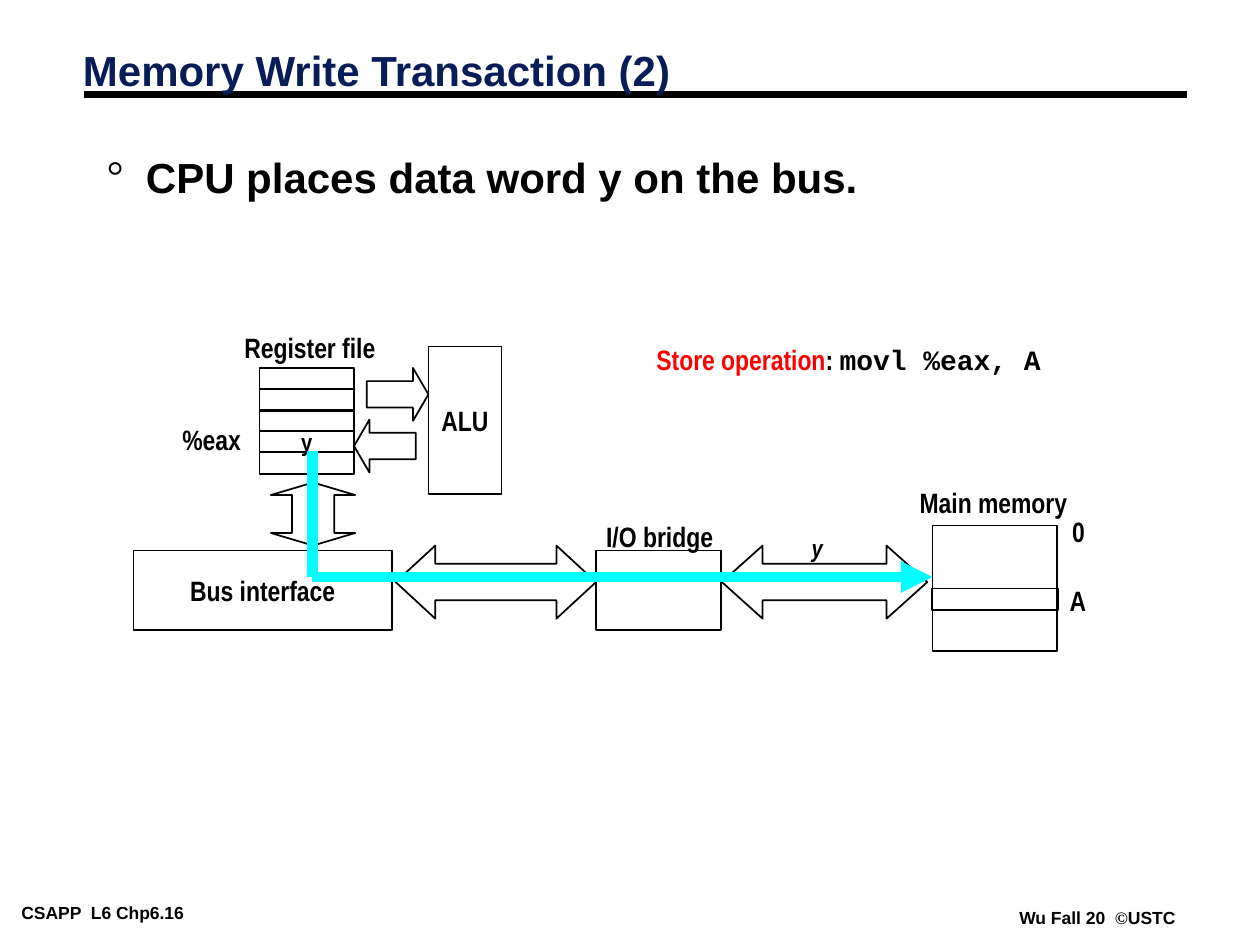
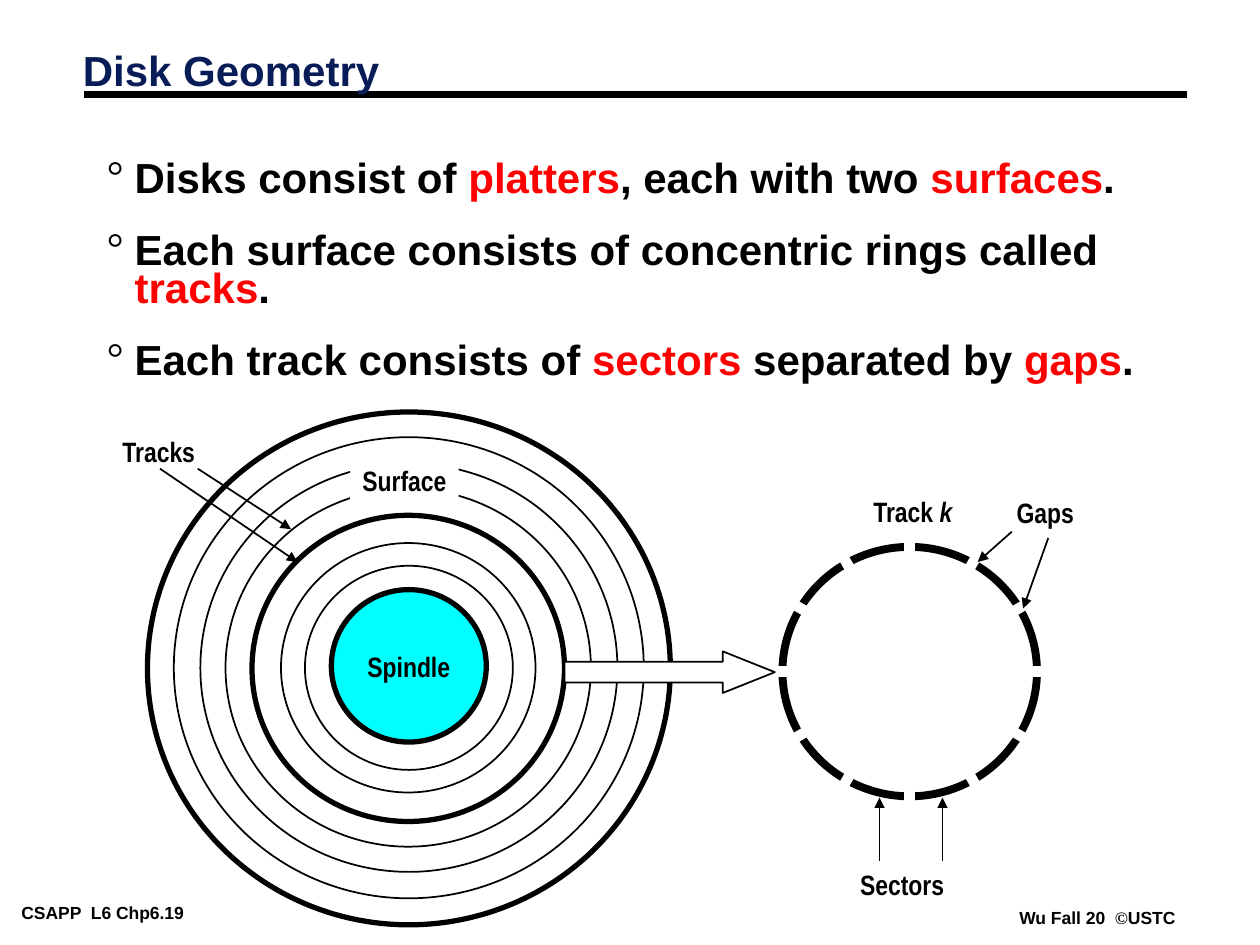
import math

from lxml import etree
from pptx import Presentation
from pptx.dml.color import RGBColor
from pptx.enum.shapes import MSO_CONNECTOR, MSO_SHAPE
from pptx.enum.text import MSO_ANCHOR, MSO_AUTO_SIZE, PP_ALIGN
from pptx.oxml.ns import qn
from pptx.util import Emu, Pt

PX = 9144  # 100 px to the inch

BLACK = RGBColor(0x00, 0x00, 0x00)
WHITE = RGBColor(0xFF, 0xFF, 0xFF)
NAVY = RGBColor(0x08, 0x1D, 0x58)
RED = RGBColor(0xFF, 0x00, 0x00)
CYAN = RGBColor(0x00, 0xFF, 0xFF)

RECTANGLE, ELLIPSE = MSO_SHAPE.RECTANGLE, MSO_SHAPE.OVAL
RIGHT_ARROW, LEFT_ARROW = MSO_SHAPE.RIGHT_ARROW, MSO_SHAPE.LEFT_ARROW
TWO_WAY_ARROW, UP_DOWN_ARROW = MSO_SHAPE.LEFT_RIGHT_ARROW, MSO_SHAPE.UP_DOWN_ARROW
STRAIGHT = MSO_CONNECTOR.STRAIGHT
TOP, MIDDLE = MSO_ANCHOR.TOP, MSO_ANCHOR.MIDDLE
LEFT, CENTER = PP_ALIGN.LEFT, PP_ALIGN.CENTER
FIT_SHAPE = MSO_AUTO_SIZE.SHAPE_TO_FIT_TEXT

TITLE = {"name": "Arial", "size": Pt(24), "bold": True, "color": NAVY}
BODY = {**TITLE, "color": BLACK}
FOOTER = {**BODY, "size": Pt(10)}
LABEL = {**BODY, "name": "Arial Narrow", "size": Pt(16)}
SMALL_LABEL = {**LABEL, "size": Pt(14)}
KEYWORD = {"color": RED}

LABEL_INSET = (4, 5)  # leaves short centred labels room to stay on one line
TEXT_INSET = (10, 5)
FOOTER_INSET = (7, 3)


def px(*lengths):
    return [Emu(length * PX) for length in lengths]


# Text
def add_spans(para, spans, base):
    """Each span is plain text or a pair of text and changes to the base format."""
    for span in [spans] if isinstance(spans, str) else spans:
        text, changes = (span, {}) if isinstance(span, str) else span
        run = para.add_run()
        run.text = text
        for key, value in {**base, **changes}.items():
            if key == "color":
                run.font.color.rgb = value
            else:
                setattr(run.font, key, value)


def set_frame(frame, anchor=TOP, wrap=False, inset=LABEL_INSET):
    frame.word_wrap = wrap
    frame.vertical_anchor = anchor
    frame.margin_left, frame.margin_top = px(*inset)
    frame.margin_right, frame.margin_bottom = px(*inset)


def add_text(page, at, spans, base=LABEL, align=CENTER, **frame_format):
    box = page.shapes.add_textbox(*px(*at))
    set_frame(box.text_frame, **frame_format)
    box.text_frame.auto_size = FIT_SHAPE
    para = box.text_frame.paragraphs[0]
    para.alignment = align
    add_spans(para, spans, base)
    return box


def add_bullet(para, indent):
    properties = para._p.get_or_add_pPr()
    width = indent * PX
    properties.set("marL", str(width))
    properties.set("indent", str(-width))
    color = etree.SubElement(properties, qn("a:buClr"))
    etree.SubElement(color, qn("a:srgbClr"), val=str(BLACK))
    etree.SubElement(properties, qn("a:buFont"), typeface="Times New Roman")
    etree.SubElement(properties, qn("a:buChar"), char="°")


def add_bullets(page, items, indent):
    frame = page.shapes.add_textbox(*px(75, 125, 858, 242)).text_frame
    set_frame(frame, wrap=True, inset=TEXT_INSET)
    for index, spans in enumerate(items):
        para = frame.add_paragraph() if index else frame.paragraphs[0]
        add_bullet(para, indent)
        para.line_spacing = 0.75
        if index:
            para.space_before = Pt(19.5)
        add_spans(para, spans, BODY)


# Shapes and lines
def set_arrow_head(arrow, head):
    """Shaft is half the arrow's breadth; head is its length as a share of the short side."""
    guides = arrow._element.spPr.find(f"{qn('a:prstGeom')}/{qn('a:avLst')}")
    guides.clear()
    for name, share in (("adj1", 0.5), ("adj2", head)):
        etree.SubElement(guides, qn("a:gd"), name=name, fmla=f"val {round(share * 100000)}")


def add_shape(page, kind, at, text=None, base=LABEL, fill=None, weight=1, head=None):
    shape = page.shapes.add_shape(kind, *px(*at))
    shape.shadow.inherit = False
    if fill is None:
        shape.fill.background()
    else:
        shape.fill.solid()
        shape.fill.fore_color.rgb = fill
    if weight:
        shape.line.color.rgb = BLACK
        shape.line.width = Pt(weight)
    else:
        shape.line.fill.background()
    if head is not None:
        set_arrow_head(shape, head)
    if text:
        set_frame(shape.text_frame, anchor=MIDDLE)
        para = shape.text_frame.paragraphs[0]
        para.alignment = CENTER
        add_spans(para, text, base)


def add_line(page, start, end, color=BLACK, weight=1, arrow=False):
    line = page.shapes.add_connector(STRAIGHT, *px(*start, *end))
    line.line.color.rgb = color
    line.line.width = Pt(weight)
    if arrow:
        etree.SubElement(line.line._get_or_add_ln(), qn("a:tailEnd"), type="triangle")
    etree.SubElement(line._element.spPr, qn("a:effectLst"))


def add_ring(page, center, width, weight, text=None, fill=None):
    height = round(width * 0.98)
    at = (center[0] - width // 2, center[1] - height // 2, width, height)
    add_shape(page, ELLIPSE, at, text, fill=fill, weight=weight)


# Shared page
def add_page(deck, title, number):
    page = deck.slides.add_slide(deck.slide_layouts[6])
    source = f"CSAPP  L6 Chp{number}"
    credit = ["Wu Fall 20  ", ("©", {"name": "Times New Roman"}), "USTC"]
    add_text(page, (10, 713, 195, 22), source, FOOTER, LEFT, inset=FOOTER_INSET)
    add_text(page, (802, 717, 138, 22), credit, FOOTER, LEFT, inset=FOOTER_INSET)
    add_line(page, (67, 75), (942, 75), weight=4.5)
    heading = add_text(page, (56, 36, 830, 45), title, TITLE, LEFT,
                       anchor=MIDDLE, wrap=True, inset=TEXT_INSET)
    heading.text_frame.paragraphs[0].line_spacing = 0.87
    return page


def build_memory_write(deck):
    page = add_page(deck, "Memory Write Transaction (2)", "6.16")
    add_bullets(page, ["CPU places data word y on the bus."], indent=31)

    # Memory, bridge and the bus between them
    add_shape(page, RECTANGLE, (740, 417, 99, 100))
    add_shape(page, TWO_WAY_ARROW, (573, 433, 163, 58), head=0.557)
    add_shape(page, RECTANGLE, (473, 437, 99, 63))
    add_shape(page, TWO_WAY_ARROW, (314, 433, 159, 58), head=0.542)

    # Processor: registers, ALU and bus interface
    for row, value in enumerate([None, None, None, "y", None]):
        top = 292 + round(row * 50 / 3)
        add_shape(page, RECTANGLE, (206, top, 75, 17), value, SMALL_LABEL)
    add_shape(page, RIGHT_ARROW, (291, 292, 49, 42), head=0.291)
    add_shape(page, LEFT_ARROW, (281, 333, 49, 42), head=0.291)
    add_shape(page, RECTANGLE, (340, 275, 58, 117), "ALU")
    add_shape(page, UP_DOWN_ARROW, (215, 383, 67, 50), head=0.199)
    add_shape(page, RECTANGLE, (106, 437, 205, 63), "Bus interface", fill=WHITE)

    # Path of the data word
    add_text(page, (634, 418, 29, 34), [("y", {"italic": True})], SMALL_LABEL, anchor=MIDDLE)
    add_line(page, (248, 358), (248, 458), CYAN, 6)
    add_line(page, (248, 458), (740, 458), CYAN, 6, arrow=True)
    add_shape(page, RECTANGLE, (740, 467, 100, 17))

    # Labels
    labels = [
        ("Register file", 184, 257, 124),
        ("Main memory", 720, 380, 137),
        ("0", 841, 403, 30),
        ("A", 839, 458, 33),
        ("%eax", 135, 330, 66),
        ("I/O bridge", 471, 407, 105),
    ]
    for text, left, top, width in labels:
        add_text(page, (left, top, width, 37), text, anchor=MIDDLE)
    operation = [("Store operation", KEYWORD), ": ", ("movl %eax, A", {"name": "Courier New"})]
    add_text(page, (511, 267, 325, 64), operation)


def build_disk_geometry(deck):
    page = add_page(deck, "Disk Geometry", "6.19")
    add_bullets(page, [
        ["Disks consist of ", ("platters", KEYWORD), ", each with two ",
         ("surfaces", KEYWORD), "."],
        ["Each surface consists of concentric rings called ", ("tracks", KEYWORD), "."],
        ["Each track consists of ", ("sectors", KEYWORD), " separated by ",
         ("gaps", KEYWORD), "."],
    ], indent=22)

    # Disk surface
    rings = [(415, 3), (373, 1), (331, 1), (290, 1), (248, 3), (202, 1), (165, 1)]
    for width, weight in rings:
        add_ring(page, (324, 530), width, weight)
    add_ring(page, (324, 528), 123, 3, "Spindle", CYAN)
    add_shape(page, RECTANGLE, (278, 363, 86, 37), "Surface", fill=WHITE, weight=0)
    add_line(page, (127, 372), (236, 446), arrow=True)
    add_line(page, (157, 372), (231, 420), arrow=True)
    add_text(page, (87, 340, 78, 37), "Tracks", anchor=MIDDLE)

    # One track, cut into sectors by white spokes
    hub_x, hub_y = hub = (722, 533)
    add_ring(page, hub, 202, 4.5)
    add_text(page, (683, 388, 83, 37), ["Track ", ("k", {"italic": True})])
    for step in range(12):
        angle = math.radians(30 * step)
        rim = (hub_x + round(116 * math.cos(angle)), hub_y + round(116 * math.sin(angle)))
        add_line(page, hub, rim, WHITE, 6)

    # Callouts of the track
    add_text(page, (673, 683, 86, 37), "Sectors", anchor=MIDDLE)
    for x in (698, 748):
        add_line(page, (x, 683), (x, 633), arrow=True)
    add_shape(page, RIGHT_ARROW, (448, 517, 167, 33), fill=WHITE, head=1.251)
    add_text(page, (797, 388, 65, 37), "Gaps", anchor=MIDDLE)
    add_line(page, (803, 422), (776, 446), arrow=True)
    add_line(page, (832, 427), (812, 483), arrow=True)


def main():
    deck = Presentation()
    deck.slide_width, deck.slide_height = px(1000, 750)
    build_memory_write(deck)
    build_disk_geometry(deck)
    deck.save("out.pptx")


if __name__ == "__main__":
    main()
